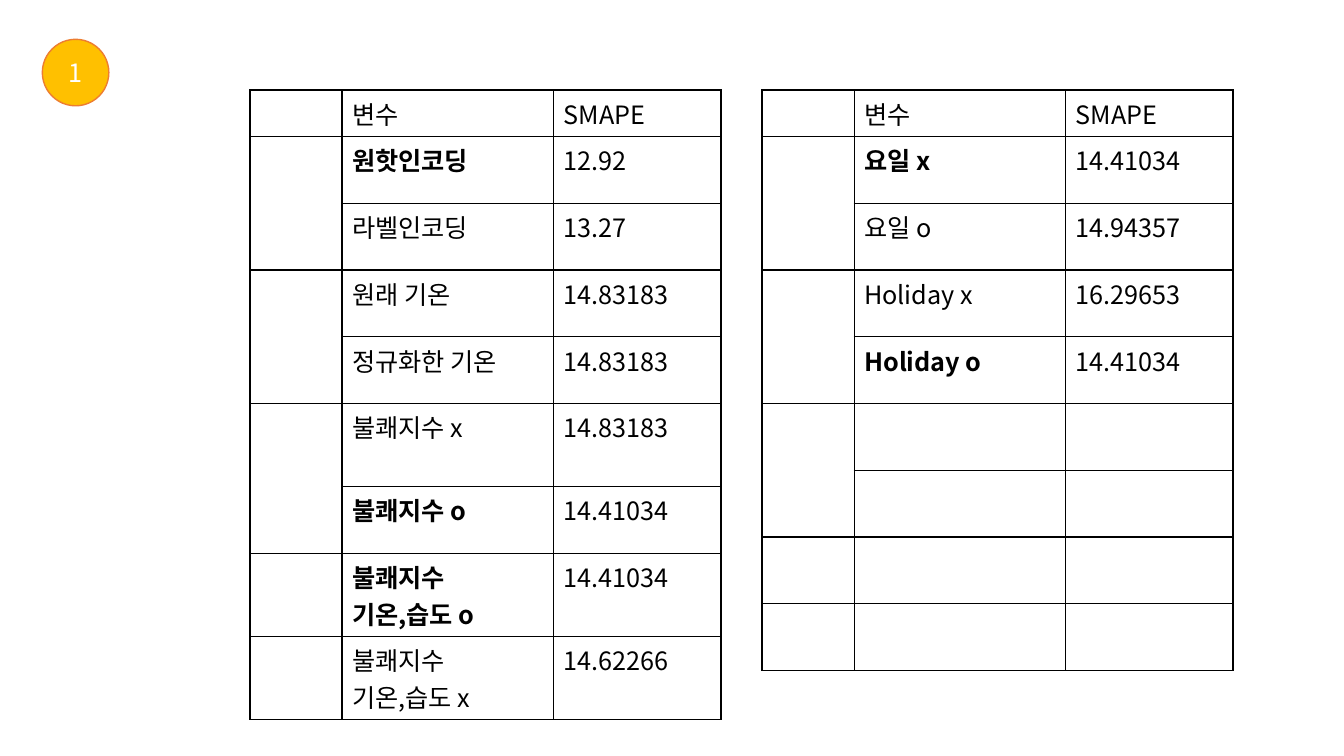
from pptx import Presentation
from pptx.dml.color import RGBColor
from pptx.enum.shapes import MSO_SHAPE as Shape
from pptx.enum.text import MSO_ANCHOR as Anchor, PP_ALIGN as Align
from pptx.oxml import parse_xml
from pptx.oxml.ns import nsdecls
from pptx.util import Inches, Pt

BLACK, WHITE, AMBER, ORANGE = "000000", "FFFFFF", "FFC000", "ED7D31"


def color(value):
    return RGBColor.from_string(value)


class Page:
    """Style and current slide; lengths are percentages of the slide size."""
    font, size = "Noto Sans CJK KR", 18

    def __init__(self, deck):
        self.deck = deck
        self.slide = deck.slides.add_slide(deck.slide_layouts[6])

    def x(self, percent):
        return round(self.deck.slide_width * percent / 100)

    def y(self, percent):
        return round(self.deck.slide_height * percent / 100)

    def add_text(self, frame, text, ink=BLACK, bold=False, align=Align.LEFT):
        for index, line in enumerate(text.split("\n")):
            para = frame.add_paragraph() if index else frame.paragraphs[0]
            para.alignment = align
            span = para.add_run()
            span.text = line
            span.font.name, span.font.size = self.font, Pt(self.size)
            span.font.bold = bold
            span.font.color.rgb = color(ink)
            span.font._element.append(parse_xml(
                f'<a:ea {nsdecls("a")} typeface="{self.font}"/>'))

    def badge(self, left, top, diameter, text):
        side = self.y(diameter)
        circle = self.slide.shapes.add_shape(
            Shape.OVAL, self.x(left), self.y(top), side, side)
        circle.shadow.inherit = False
        circle.fill.solid()
        circle.fill.fore_color.rgb = color(AMBER)
        circle.line.color.rgb = color(ORANGE)
        circle.line.width = Pt(1)
        circle.text_frame.vertical_anchor = Anchor.MIDDLE
        self.add_text(circle.text_frame, text, WHITE, align=Align.CENTER)

    def border(self, cell):
        cell.fill.background()
        properties = cell._tc.get_or_add_tcPr()
        for place, side in enumerate("LRTB"):
            properties.insert(place, parse_xml(
                f'<a:ln{side} {nsdecls("a")} w="{Pt(1)}"><a:solidFill>'
                f'<a:srgbClr val="{BLACK}"/></a:solidFill></a:ln{side}>'))

    def table(self, left, top, widths, heights, rows, bold_rows, pairs):
        frame = self.slide.shapes.add_table(
            len(heights), len(widths), self.x(left), self.y(top),
            self.x(sum(widths)), self.y(sum(heights)))
        grid = frame.table
        grid.first_row = grid.horz_banding = False
        for column, width in zip(grid.columns, widths):
            column.width = self.x(width)
        for row, height in zip(grid.rows, heights):
            row.height = self.y(height)
        for cell in grid.iter_cells():
            self.border(cell)
        for r, (variable, score) in enumerate(rows):
            self.add_text(grid.cell(r, 1).text_frame, variable, bold=r in bold_rows)
            self.add_text(grid.cell(r, 2).text_frame, score)
        # Group cells in the first column cover two rows each
        for r in pairs:
            grid.cell(r, 0).merge(grid.cell(r + 1, 0))


HEADER = ("변수", "SMAPE")
ENCODING_AND_WEATHER = [
    HEADER,
    ("원핫인코딩", "12.92"),
    ("라벨인코딩", "13.27"),
    ("원래 기온", "14.83183"),
    ("정규화한 기온", "14.83183"),
    ("불쾌지수 x", "14.83183"),
    ("불쾌지수 o", "14.41034"),
    ("불쾌지수\n기온,습도 o", "14.41034"),
    ("불쾌지수\n기온,습도 x", "14.62266"),
]
CALENDAR = [
    HEADER,
    ("요일 x", "14.41034"),
    ("요일 o", "14.94357"),
    ("Holiday x", "16.29653"),
    ("Holiday o", "14.41034"),
]


def main():
    deck = Presentation()
    deck.slide_width, deck.slide_height = Inches(13.33), Inches(7.5)
    page = Page(deck)

    # Score tables
    top, widths, pairs = 11.9, [6.85, 15.75, 12.45], (1, 3, 5)
    header, row, tall = 6.1, 8.83, 11
    page.table(18.6, top, widths, [header] + [row] * 4 + [tall, row, tall, tall],
               ENCODING_AND_WEATHER, {1, 6, 7}, pairs)
    page.table(56.7, top, widths, [header] + [row] * 8, CALENDAR, {1, 4}, pairs)

    # Step number
    page.badge(3.15, 5.2, 8.8, "1")
    deck.save("out.pptx")


if __name__ == "__main__":
    main()
